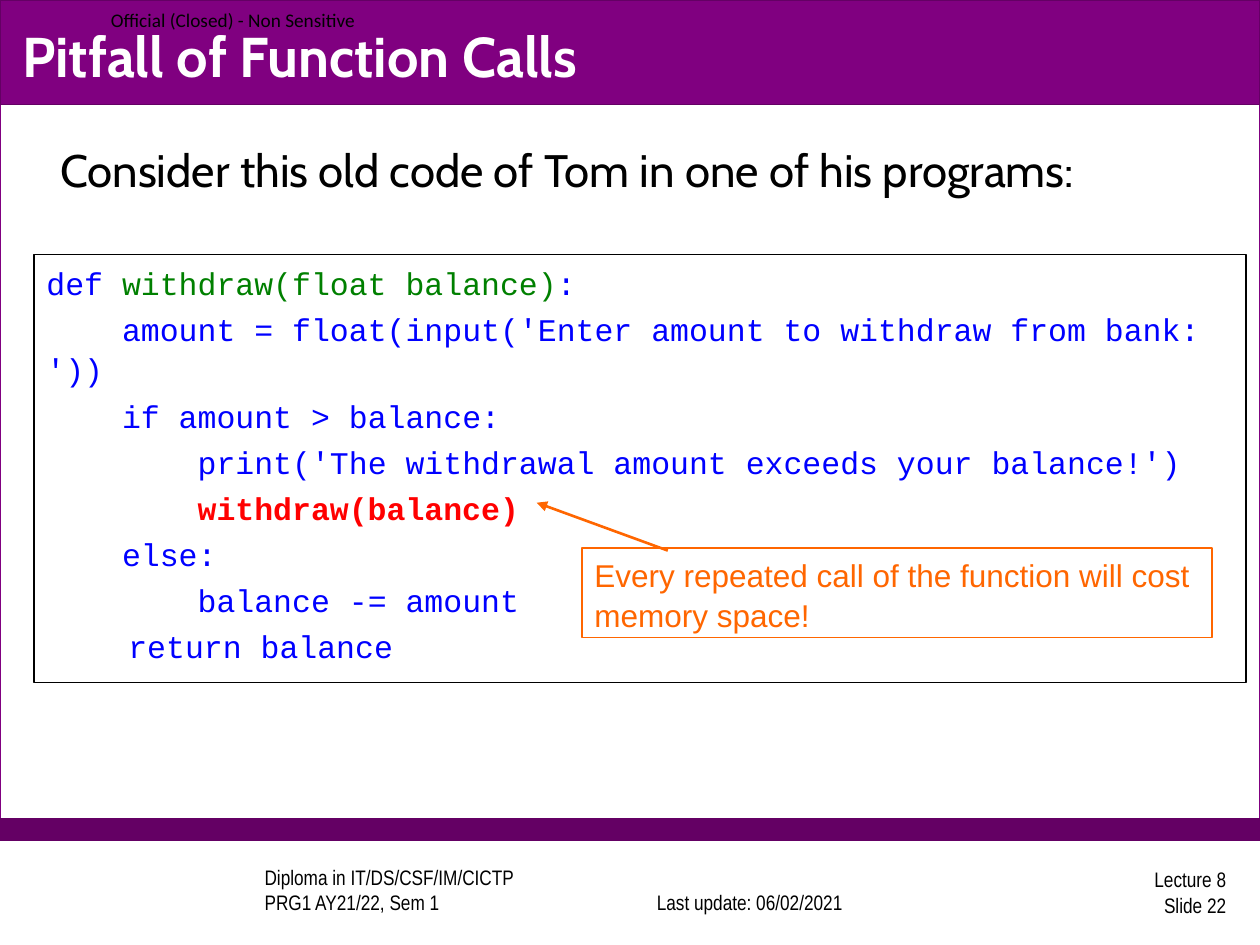
from dataclasses import dataclass

from lxml.etree import SubElement
from pptx import Presentation
from pptx.dml.color import RGBColor
from pptx.enum.shapes import MSO_CONNECTOR as Connector, MSO_SHAPE as Shape
from pptx.enum.text import MSO_ANCHOR as Anchor, PP_ALIGN as Align
from pptx.oxml.ns import qn
from pptx.util import Inches, Pt


@dataclass(frozen=True)
class Theme:
    purple: str = "800080"
    dark_purple: str = "640064"
    white: str = "FFFFFF"
    black: str = "000000"
    blue: str = "0000FF"
    green: str = "008000"
    red: str = "FF0000"
    orange: str = "FF6600"
    heading: str = "Cabin"
    label: str = "Calibri"
    footer: str = "Arial Narrow"
    code: str = "Courier New"
    note: str = "Arial"
    title_size: int = 32
    body_size: int = 26
    code_size: int = 18
    footer_size: int = 12
    label_size: int = 11


THEME = Theme()

CODE = [
    [("def ", THEME.blue), ("withdraw(float balance)", THEME.green), (":", THEME.blue)],
    [("    amount = float(input('Enter amount to withdraw from bank: '))", THEME.blue)],
    [("    if amount > balance:", THEME.blue)],
    [("        print('The withdrawal amount exceeds your balance!')", THEME.blue)],
    [("        ", THEME.blue), ("withdraw(balance)", THEME.red)],
    [("    else:", THEME.blue)],
    [("        balance -= amount", THEME.blue)],
    [("\t return balance", THEME.blue)],
]


def apply(target, values):
    for name, value in values.items():
        setattr(target, name, value)


def add_panel(page, box, line, fill=None):
    panel = page.shapes.add_shape(Shape.RECTANGLE, *map(Inches, box))
    panel.shadow.inherit = False
    if fill:
        panel.fill.solid()
        panel.fill.fore_color.rgb = RGBColor.from_string(fill)
    else:
        panel.fill.background()
    panel.line.color.rgb = RGBColor.from_string(line)
    panel.line.width = Pt(0.75)
    return panel


def write(shape, lines, font, size, bold=False, para_format=None, **frame_format):
    """Fill a shape with paragraphs, each a list of (text, colour) spans."""
    frame = shape.text_frame
    apply(frame, {"word_wrap": True, "vertical_anchor": Anchor.TOP, **frame_format})
    for number, spans in enumerate(lines):
        para = frame.add_paragraph() if number else frame.paragraphs[0]
        apply(para, {"alignment": Align.LEFT, **(para_format or {})})
        if not number:
            para.space_before = Pt(0)
        for text, color in spans:
            span = para.add_run()
            span.text = text
            span.font.color.rgb = RGBColor.from_string(color)
            apply(span.font, {"name": font, "size": Pt(size),
                              "bold": bold or color == THEME.red})


def add_text(page, box, lines, font, size, color=THEME.black, **options):
    text_box = page.shapes.add_textbox(*map(Inches, box))
    write(text_box, [[(line, color)] for line in lines], font, size, **options)


def add_frame(page, width):
    """Page outline with the bands above and below the content."""
    add_panel(page, (0, 0, width, 6.67), THEME.purple, THEME.white)
    add_panel(page, (0, 6.5, width, 0.17), THEME.dark_purple, THEME.dark_purple)
    add_panel(page, (0, 0, width, 0.83), THEME.dark_purple, THEME.purple)


def add_footer(page, top):
    style = {"font": THEME.footer, "size": THEME.footer_size}
    add_text(page, (1.5, top, 3.17, 0.42),
             ["Diploma in IT/DS/CSF/IM/CICTP", "PRG1 AY21/22, Sem 1"],
             vertical_anchor=Anchor.BOTTOM, margin_left=Inches(0.6), **style)
    add_text(page, (4.91, top, 2.08, 0.42), ["Last update: 06/02/2021"],
             vertical_anchor=Anchor.BOTTOM, para_format={"alignment": Align.CENTER}, **style)
    add_text(page, (7.75, top - 0.02, 2.08, 0.42), ["Lecture 8", "Slide 22"],
             vertical_anchor=Anchor.MIDDLE, para_format={"alignment": Align.RIGHT}, **style)


def add_header(page, box):
    left, top, width, height = box
    add_text(page, (0, 0, 3.01, 0.31), ["Official (Closed) - Non Sensitive"],
             THEME.label, THEME.label_size, vertical_anchor=Anchor.MIDDLE,
             margin_left=Inches(0.88), margin_right=0, margin_top=0, margin_bottom=0)
    add_text(page, (left, top, width, height), ["Pitfall of Function Calls"],
             THEME.heading, THEME.title_size, THEME.white, bold=True,
             vertical_anchor=Anchor.MIDDLE)


def add_code(page, box):
    panel = add_panel(page, box, THEME.black, THEME.white)
    write(panel, CODE, THEME.code, THEME.code_size,
          para_format={"space_before": Pt(3), "line_spacing": 1.08})


def add_callout(page, box, start, tip):
    """Boxed remark with an arrow to the line of code it is about."""
    note = add_panel(page, box, THEME.orange)
    text = "Every repeated call of the function will cost memory space!"
    write(note, [[(text, THEME.orange)]], THEME.note, THEME.code_size,
          para_format={"line_spacing": 1.05})
    arrow = page.shapes.add_connector(Connector.STRAIGHT, *map(Inches, start + tip))
    arrow.line.color.rgb = RGBColor.from_string(THEME.orange)
    arrow.line.width = Pt(1.5)
    SubElement(arrow.line._get_or_add_ln(), qn("a:tailEnd"), type="triangle")
    SubElement(arrow._element.spPr, qn("a:effectLst"))


def main():
    deck = Presentation()
    apply(deck, {"slide_width": Inches(10), "slide_height": Inches(7.5)})
    page = deck.slides.add_slide(deck.slide_layouts[6])
    add_frame(page, 10)
    add_footer(page, 6.89)
    add_header(page, (0.08, 0.13, 9.83, 0.62))
    add_text(page, (0.38, 1.08, 9.25, 4.95),
             ["Consider this old code of Tom in one of his programs:"],
             THEME.heading, THEME.body_size)
    add_code(page, (0.27, 2.02, 9.62, 3.4))
    add_callout(page, (4.62, 4.35, 5, 0.71), (5.3, 4.37), (4.26, 3.99))
    deck.save("out.pptx")


if __name__ == "__main__":
    main()
